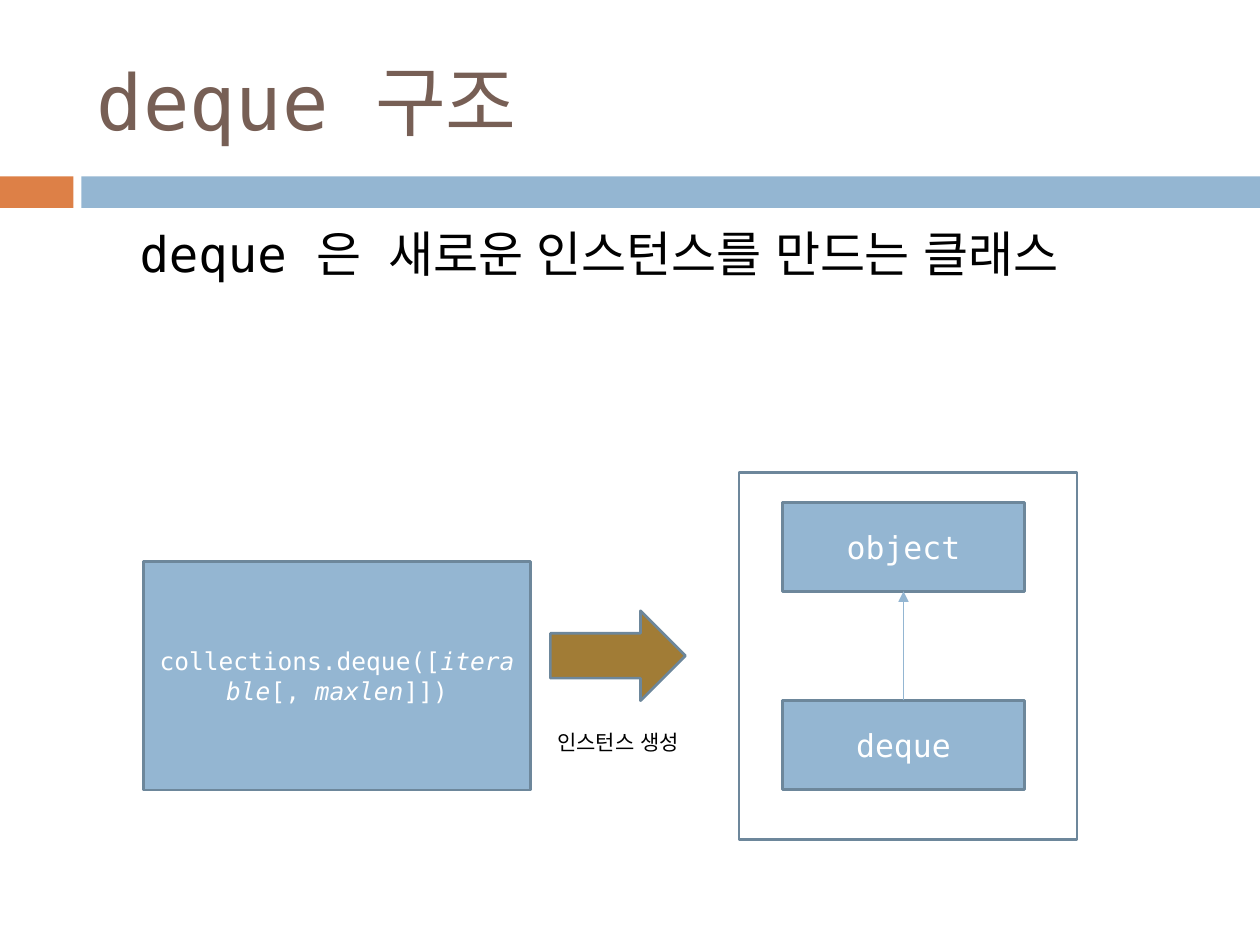
import pptx
import pptx.dml.color
import pptx.enum.shapes
import pptx.enum.text
import pptx.oxml
import pptx.oxml.ns
import pptx.util

Pt = pptx.util.Pt
Shape = pptx.enum.shapes.MSO_SHAPE
Anchor = pptx.enum.text.MSO_ANCHOR
Align = pptx.enum.text.PP_ALIGN

FONT = "DejaVu Sans Mono"
EAST_ASIAN_FONT = "Arial"
COLORS = {
    "orange": "DD8047",
    "blue": "94B6D2",
    "outline": "6D879B",
    "arrow": "A17C36",
    "title": "775F55",
    "black": "000000",
    "white": "FFFFFF",
}


def color(name):
    return pptx.dml.color.RGBColor.from_string(COLORS[name])


def append_xml(parent, tag, attributes=""):
    namespace = pptx.oxml.ns.nsdecls("a")
    parent.append(pptx.oxml.parse_xml(f"<a:{tag} {namespace} {attributes}/>"))


def write(shape, runs, size, font_color, align=Align.CENTER, anchor=Anchor.MIDDLE):
    """Fill the shape with one paragraph of (text, italic) runs."""
    frame = shape.text_frame
    frame.word_wrap = True
    frame.vertical_anchor = anchor
    paragraph = frame.paragraphs[0]
    paragraph.alignment = align
    for text, italic in runs:
        run = paragraph.add_run()
        run.text = text
        run.font.name = FONT
        run.font.size = Pt(size)
        run.font.italic = italic
        run.font.color.rgb = color(font_color)
        append_xml(run._r.get_or_add_rPr(), "ea", f'typeface="{EAST_ASIAN_FONT}"')
    return paragraph


def add_shape(shapes, kind, box, fill=None, outline="outline"):
    shape = shapes.add_shape(kind, *map(Pt, box))
    shape.shadow.inherit = False
    if fill:
        shape.fill.solid()
        shape.fill.fore_color.rgb = color(fill)
    else:
        shape.fill.background()
    if outline:
        shape.line.color.rgb = color(outline)
        shape.line.width = Pt(1.5)
    else:
        shape.line.fill.background()
    return shape


def add_text(shapes, box, text, size, font_color, **layout):
    text_box = shapes.add_textbox(*map(Pt, box))
    return write(text_box, [(text, False)], size, font_color, **layout)


def add_inheritance_arrow(shapes, child, parent):
    """Join the top of the child box to the bottom of the parent box."""
    connector = shapes.add_connector(
        pptx.enum.shapes.MSO_CONNECTOR.STRAIGHT, 0, 0, 0, 0)
    connector.begin_connect(child, 0)
    connector.end_connect(parent, 2)
    connector.line.color.rgb = color("blue")
    connector.line.width = Pt(0.79)
    append_xml(connector.line._get_or_add_ln(), "tailEnd", 'type="triangle"')
    append_xml(connector._element.spPr, "effectLst")


def add_class_diagram(shapes):
    group = shapes.add_group_shape().shapes
    boxes = {}
    for name, top in (("deque", 400.2), ("object", 287)):
        boxes[name] = add_shape(
            group, Shape.RECTANGLE, (447, top, 138.6, 51), "blue")
        write(boxes[name], [(name, False)], 18, "white")
    add_inheritance_arrow(group, boxes["deque"], boxes["object"])
    add_shape(group, Shape.RECTANGLE, (422.4, 270, 193, 209.6))


def main():
    presentation = pptx.Presentation()
    presentation.slide_width = Pt(720)
    presentation.slide_height = Pt(540)
    slide = presentation.slides.add_slide(presentation.slide_layouts[6])
    shapes = slide.shapes

    add_shape(shapes, Shape.RECTANGLE, (0, 100.8, 42, 18), "orange", None)
    add_shape(shapes, Shape.RECTANGLE, (46.5, 100.8, 673.5, 18), "blue", None)
    add_text(shapes, (48.2, 18, 642, 78), "deque 구조", 44, "title",
             align=Align.LEFT)
    statement = add_text(
        shapes, (36.7, 124.2, 648, 111.6),
        "deque 은  새로운 인스턴스를 만드는 클래스", 28, "black",
        align=Align.LEFT, anchor=Anchor.TOP)
    statement.space_before = Pt(5.5)
    statement._p.get_or_add_pPr().set("marL", str(Pt(36)))

    constructor = add_shape(
        shapes, Shape.RECTANGLE, (81.9, 320.8, 221.4, 130.6), "blue")
    write(constructor,
          [("collections.deque([", False), ("iterable", True), ("[,\u00a0", False),
           ("maxlen", True), ("]])", False)], 14, "white")
    add_class_diagram(shapes)
    add_shape(shapes, Shape.RIGHT_ARROW, (314.5, 349, 77.2, 51.4), "arrow")
    add_text(shapes, (308.9, 413.3, 88.6, 36), "인스턴스 생성", 12, "black",
             anchor=Anchor.TOP)

    presentation.save("out.pptx")


if __name__ == "__main__":
    main()
